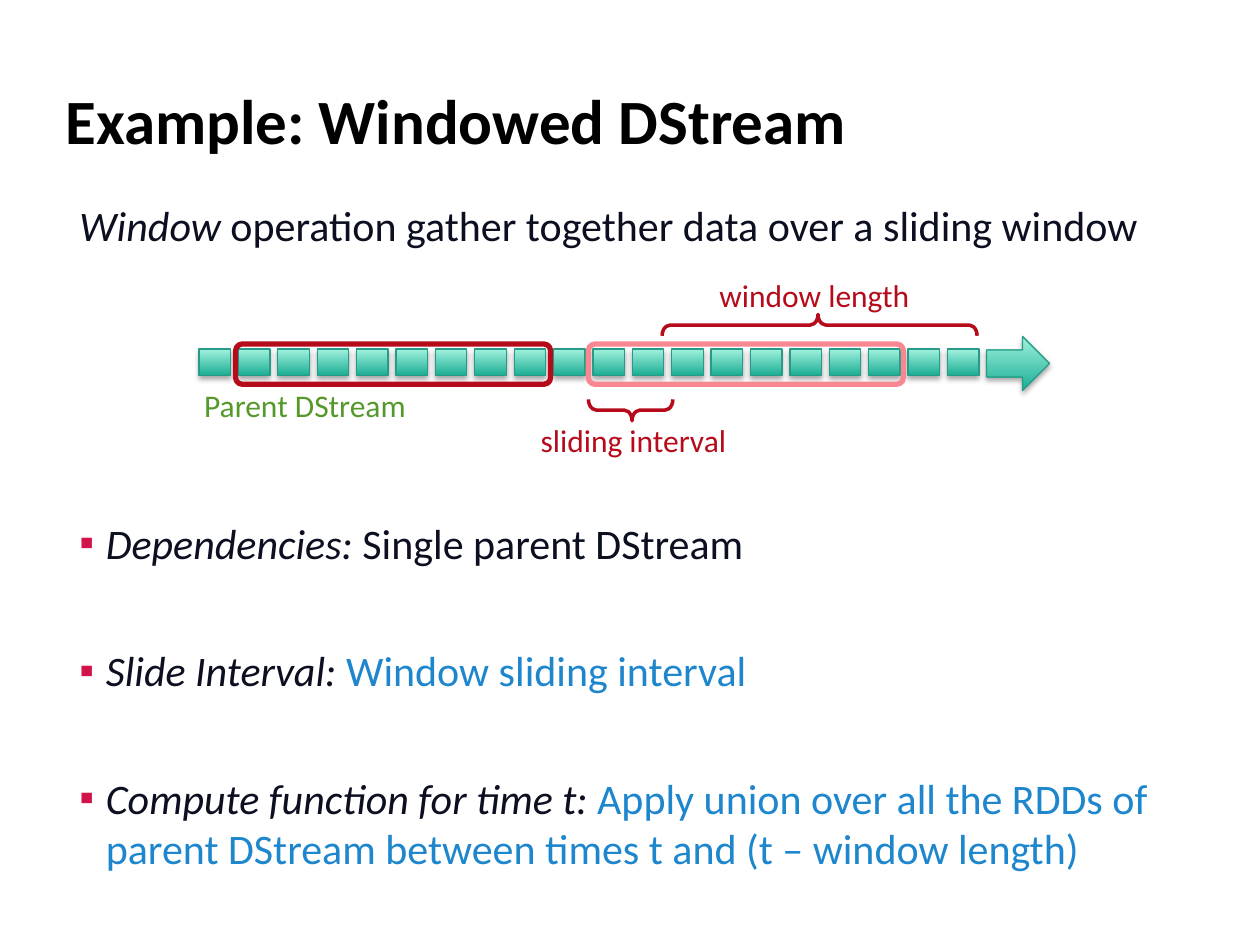
from lxml import etree
from pptx import Presentation
from pptx.dml.color import RGBColor
from pptx.enum import shapes, text
from pptx.oxml.ns import qn
from pptx.util import Inches, Pt

INK, BLUE, RED, PINK, GREEN = "0C0F20", "1D86CD", "B50B1B", "F88792", "55992B"


def rgb(value):
    return RGBColor.from_string(value)


def set_text(frame, paragraph, runs, size, margin_x, margin_y):
    """Fill a paragraph with (wording, colour, italic) runs."""
    frame.margin_left = frame.margin_right = Inches(margin_x)
    frame.margin_top = frame.margin_bottom = Inches(margin_y)
    paragraph.alignment = text.PP_ALIGN.LEFT
    paragraph.font.size = Pt(size)
    paragraph.font.name = "Calibri"
    for wording, colour, italic in runs:
        run = paragraph.add_run()
        run.text = wording
        run.font.color.rgb = rgb(colour)
        if italic:
            run.font.italic = True


prs = Presentation()
prs.slide_width, prs.slide_height = Inches(10), Inches(7.5)
slide = prs.slides.add_slide(prs.slide_layouts[1])

# Title
title = slide.shapes.title
title.left, title.top, title.width, title.height = map(Inches, (0.5, 0.51, 9.08, 0.87))
title.text_frame.vertical_anchor = text.MSO_ANCHOR.MIDDLE
heading = title.text_frame.paragraphs[0]
set_text(title.text_frame, heading, [("Example: Windowed DStream", "000000", False)],
         36, 0.02, 0.02)
heading.font.bold = True

# Body: an opening sentence, then three bullets below the diagram
body = slide.placeholders[1]
body.left, body.top, body.width, body.height = map(Inches, (0.48, 1.58, 9.08, 5.33))
body.text_frame.auto_size = text.MSO_AUTO_SIZE.NONE
points = [
    (7.6, False, [("Window", INK, True),
                  (" operation gather together data over a sliding window", INK, False)]),
    (153, True, [("Dependencies:", INK, True), (" Single parent DStream", INK, False)]),
    (44, True, [("Slide Interval: ", INK, True), ("Window sliding interval", BLUE, False)]),
    (44, True, [("Compute function for time t: ", INK, True),
                ("Apply union over all the RDDs of parent DStream between times t "
                 "and (t – window length)", BLUE, False)]),
]
for i, (space, bulleted, runs) in enumerate(points):
    point = body.text_frame.add_paragraph() if i else body.text_frame.paragraphs[0]
    props = point._p.get_or_add_pPr()
    props.set("marL", str(Inches(0.36 if bulleted else 0.15)))
    props.set("indent", str(Inches(-0.21 if bulleted else 0)))
    if bulleted:
        bullet_colour = etree.SubElement(props, qn("a:buClr"))
        etree.SubElement(bullet_colour, qn("a:srgbClr"), val="D11349")
        etree.SubElement(props, qn("a:buChar"), char="▪")
    else:
        etree.SubElement(props, qn("a:buNone"))
    point.space_before = Pt(space)
    set_text(body.text_frame, point, runs, 24, 0, 0)

# Parent DStream: twenty batches ending in an arrow
stream = slide.shapes.add_group_shape()
batches = [(shapes.MSO_SHAPE.RECTANGLE, 1.58 + 0.3126 * i, 2.77, 0.25, 0.21)
           for i in range(20)]
for kind, *box in [(shapes.MSO_SHAPE.RIGHT_ARROW, 7.83, 2.67, 0.5, 0.43)] + batches:
    batch = stream.shapes.add_shape(kind, *map(Inches, box))
    batch.fill.gradient()
    batch.fill.gradient_angle = 90
    for stop, colour, position in zip(batch.fill.gradient_stops, ("1BAD94", "A1F2DD"), (0, 1)):
        stop.color.rgb = rgb(colour)
        stop.position = position
    batch.line.color.rgb = rgb("289B88")
    batch.line.width = Pt(0.75)
    batch.shadow.inherit = False
    effects = batch._element.spPr.find(qn("a:effectLst"))
    shadow = etree.SubElement(effects, qn("a:outerShdw"), blurRad=str(Pt(3.1)),
                              dist=str(Pt(1.8)), dir="5400000", rotWithShape="0")
    shade = etree.SubElement(shadow, qn("a:srgbClr"), val="000000")
    etree.SubElement(shade, qn("a:alpha"), val="35000")

# Window frames and braces: kind, box, rotation, adjustments, colour, line width
window_group = slide.shapes.add_group_shape()
interval_group = slide.shapes.add_group_shape()
frame_kind, brace_kind = shapes.MSO_SHAPE.ROUNDED_RECTANGLE, shapes.MSO_SHAPE.RIGHT_BRACE
outlines = [
    (slide, frame_kind, (4.67, 2.73, 2.5, 0.32), 0, (), PINK, 3),
    (window_group, brace_kind, (6.42, 1.33, 0.17, 2.5), 270, (0.368, 0.495), RED, 2),
    (interval_group, brace_kind, (4.92, 2.92, 0.17, 0.67), 90, (0.368, 0.484), RED, 2),
    (slide, frame_kind, (1.87, 2.73, 2.5, 0.32), 0, (), RED, 3),
]
for parent, kind, box, rotation, adjustments, colour, width in outlines:
    outline = parent.shapes.add_shape(kind, *map(Inches, box))
    outline.rotation = rotation
    for i, value in enumerate(adjustments):
        outline.adjustments[i] = value
    outline.fill.background()
    outline.line.color.rgb = rgb(colour)
    outline.line.width = Pt(width)
    outline.shadow.inherit = False

# Labels
labels = [
    (stream, "Parent DStream", (1.58, 3.04, 1.72, 0.35), GREEN),
    (window_group, "window length", (5.67, 2.17, 1.61, 0.35), RED),
    (interval_group, "sliding interval", (4.25, 3.32, 1.58, 0.35), RED),
]
for parent, wording, box, colour in labels:
    label = parent.shapes.add_textbox(*map(Inches, box)).text_frame
    label.word_wrap = False
    label.auto_size = text.MSO_AUTO_SIZE.SHAPE_TO_FIT_TEXT
    set_text(label, label.paragraphs[0], [(wording, colour, False)], 18, 0.04, 0.02)

prs.save("out.pptx")
